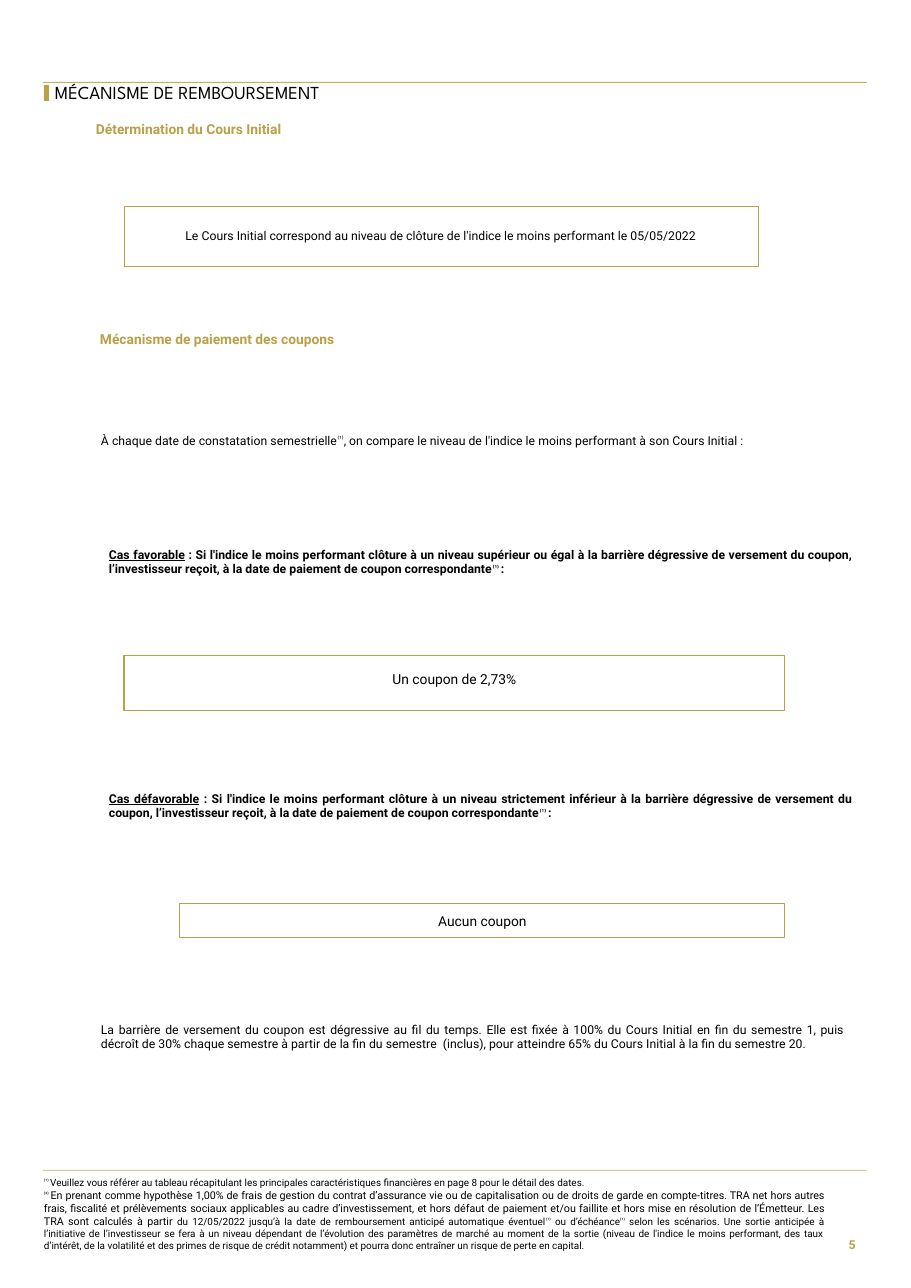
"""Build the redemption mechanism page of a structured product brochure."""
import pptx
import pptx.util
import pptx.dml.color
import pptx.enum.shapes
import pptx.enum.text

ALIGN = pptx.enum.text.PP_ALIGN
ANCHOR = pptx.enum.text.MSO_ANCHOR
EMU_PER_PIXEL = 914400 / 110.2
THEME = {
    "gold": "B9A049", "rule": "C5AF5C", "ink": "000000", "paper": "FFFFFF",
    "title_font": "League Spartan", "font": "Roboto",
    "title": 12, "heading": 9, "result": 9, "body": 8, "note": 6.5, "note_large": 7,
}

TITLE = ("MÉCANISME DE REMBOURSEMENT", (55, 80, 464, 28))
RULES = [((43, 82, 824, 1), "rule"), ((43, 1170, 824, 1), "rule"), ((44, 85, 5, 16), "gold")]
HEADINGS = [
    ("Détermination du Cours Initial", (96, 121, 327, 20)),
    ("Mécanisme de paiement des coupons", (100, 331, 724, 19)),
]
REFERENCE = ("⁽¹⁾", {"raised": True})
REFERENCE_SPACED = ("⁽¹⁾ ", {"raised": True})
LEAD = {"bold": True, "underline": True}
CASE = {"bold": True}
CASE_ENDING = [("⁽¹⁾ ", {"bold": True, "raised": True}), (": ", CASE)]

STATEMENTS = [
    ((101, 433, 724, 15), [
        ("À chaque date de constatation semestrielle", {}), REFERENCE,
        (", on compare le niveau de l'indice le moins performant à son Cours Initial :", {})]),
    ((109, 547, 745, 30), [
        ("Cas favorable", LEAD),
        (" : Si l'indice le moins performant clôture à un niveau supérieur ou égal à la barrière "
         "dégressive de versement du coupon, l’investisseur reçoit, à la date de paiement de "
         "coupon correspondante", CASE)] + CASE_ENDING),
    ((109, 791, 745, 30), [
        ("Cas défavorable", LEAD),
        (" : Si l'indice le moins performant clôture à un niveau strictement inférieur à la "
         "barrière dégressive de versement du coupon, l’investisseur reçoit, à la date de "
         "paiement de coupon correspondante", CASE)] + CASE_ENDING),
    ((101, 1022, 745, 30), [
        ("La barrière de versement du coupon est dégressive au fil du temps. Elle est fixée à "
         "100% du Cours Initial en fin du semestre 1, puis décroît de 30% chaque semestre à "
         "partir de la fin du semestre  (inclus), pour atteindre 65% du Cours Initial à la fin "
         "du semestre 20.", {})]),
]
FRAMES = [
    ("Le Cours Initial correspond au niveau de clôture de l'indice le moins performant "
     "le 05/05/2022", (124, 206, 635, 60), "body", 0.5, (8, 8)),
    ("Un coupon de 2,73%", (124, 656, 661, 55), "result", 0.75, (11, 20)),
    ("Aucun coupon", (180, 904, 605, 34), "result", 0.75, (8, 8)),
]
FOOTNOTES = ((44, 1177, 781, 75), [
    [REFERENCE_SPACED,
     ("Veuillez vous référer au tableau récapitulant les principales caractéristiques "
      "financières en page 8 pour le détail des dates. ", {})],
    [("⁽²⁾ ", {"raised": True}),
     ("En prenant comme hypothèse 1,00% de frais de\u00a0gestion du contrat d’assurance vie ou de "
      "capitalisation ou de droits de garde en compte-titres. TRA net hors autres frais, "
      "fiscalité et prélèvements sociaux applicables au cadre d’investissement, et hors défaut "
      "de paiement et/ou faillite et hors mise en résolution de l’Émetteur. Les TRA sont "
      "calculés à partir ", {"size": "note_large"}),
     ("du 12/05/2022 jusqu’à la date de remboursement anticipé automatique éventuel", {}),
     REFERENCE, (" ou d’échéance", {}), REFERENCE,
     (" selon les scénarios. Une sortie anticipée à l’initiative de l’investisseur se fera à un "
      "niveau dépendant de l’évolution des paramètres de marché au moment de la sortie (niveau "
      "de l'indice le moins performant, des taux d’intérêt, de la volatilité et des primes "
      "de\u00a0risque de crédit notamment) et pourra donc entraîner un risque de perte en "
      "capital.", {})],
])
PAGE_NUMBER = ("5", (814, 1222, 42, 46))


def pixels(*lengths):
    return [round(length * EMU_PER_PIXEL) for length in lengths]


def colour(name):
    return pptx.dml.color.RGBColor.from_string(THEME[name])


def prepare(frame, anchor=ANCHOR.TOP, insets=(0, 0)):
    frame.word_wrap = True
    frame.auto_size = pptx.enum.text.MSO_AUTO_SIZE.NONE
    frame.vertical_anchor = anchor
    frame.margin_left = frame.margin_right = 0
    frame.margin_top, frame.margin_bottom = pixels(*insets)


def format_run(run, size, ink="ink", font="font", bold=False, underline=False, raised=False):
    run.font.name = THEME[font]
    run.font.size = pptx.util.Pt(THEME[size])
    run.font.color.rgb = colour(ink)
    run.font.bold = bold
    run.font.underline = underline
    if raised:
        run._r.get_or_add_rPr().set("baseline", "30000")


def write_line(frame, text, align, **style):
    frame.text = text
    line = frame.paragraphs[0]
    line.alignment = align
    format_run(line.runs[0], **style)
    return line


def write_paragraphs(frame, paragraphs, size):
    for index, parts in enumerate(paragraphs):
        paragraph = frame.add_paragraph() if index else frame.paragraphs[0]
        paragraph.alignment = ALIGN.JUSTIFY
        for text, style in parts:
            run = paragraph.add_run()
            run.text = text
            format_run(run, **{"size": size, **style})


def add_text(slide, box, anchor=ANCHOR.TOP):
    frame = slide.shapes.add_textbox(*pixels(*box)).text_frame
    prepare(frame, anchor)
    return frame


def add_rectangle(slide, box, fill):
    rectangle = slide.shapes.add_shape(pptx.enum.shapes.MSO_SHAPE.RECTANGLE, *pixels(*box))
    rectangle.shadow.inherit = False
    rectangle.fill.solid()
    rectangle.fill.fore_color.rgb = colour(fill)
    rectangle.line.fill.background()
    return rectangle


def build():
    deck = pptx.Presentation()
    deck.slide_width, deck.slide_height = pptx.util.Inches(8.27), pptx.util.Inches(11.69)
    slide = deck.slides.add_slide(deck.slide_layouts[5])

    title = slide.shapes.title
    text, box = TITLE
    title.left, title.top, title.width, title.height = pixels(*box)
    prepare(title.text_frame, ANCHOR.MIDDLE)
    line = write_line(title.text_frame, text, ALIGN.LEFT, size="title", font="title_font")
    line.line_spacing = 0.9

    for box, fill in RULES:
        add_rectangle(slide, box, fill)
    for text, box in HEADINGS:
        write_line(add_text(slide, box), text, ALIGN.LEFT, size="heading", ink="gold", bold=True)
    for box, parts in STATEMENTS:
        write_paragraphs(add_text(slide, box), [parts], "body")
    for text, box, size, weight, insets in FRAMES:
        outlined = add_rectangle(slide, box, "paper")
        outlined.line.color.rgb = colour("gold")
        outlined.line.width = pptx.util.Pt(weight)
        prepare(outlined.text_frame, ANCHOR.MIDDLE, insets)
        write_line(outlined.text_frame, text, ALIGN.CENTER, size=size)

    box, notes = FOOTNOTES
    write_paragraphs(add_text(slide, box), notes, "note")
    text, box = PAGE_NUMBER
    write_line(add_text(slide, box, ANCHOR.MIDDLE), text, ALIGN.RIGHT,
               size="body", ink="gold", bold=True)
    deck.save("out.pptx")


build()
